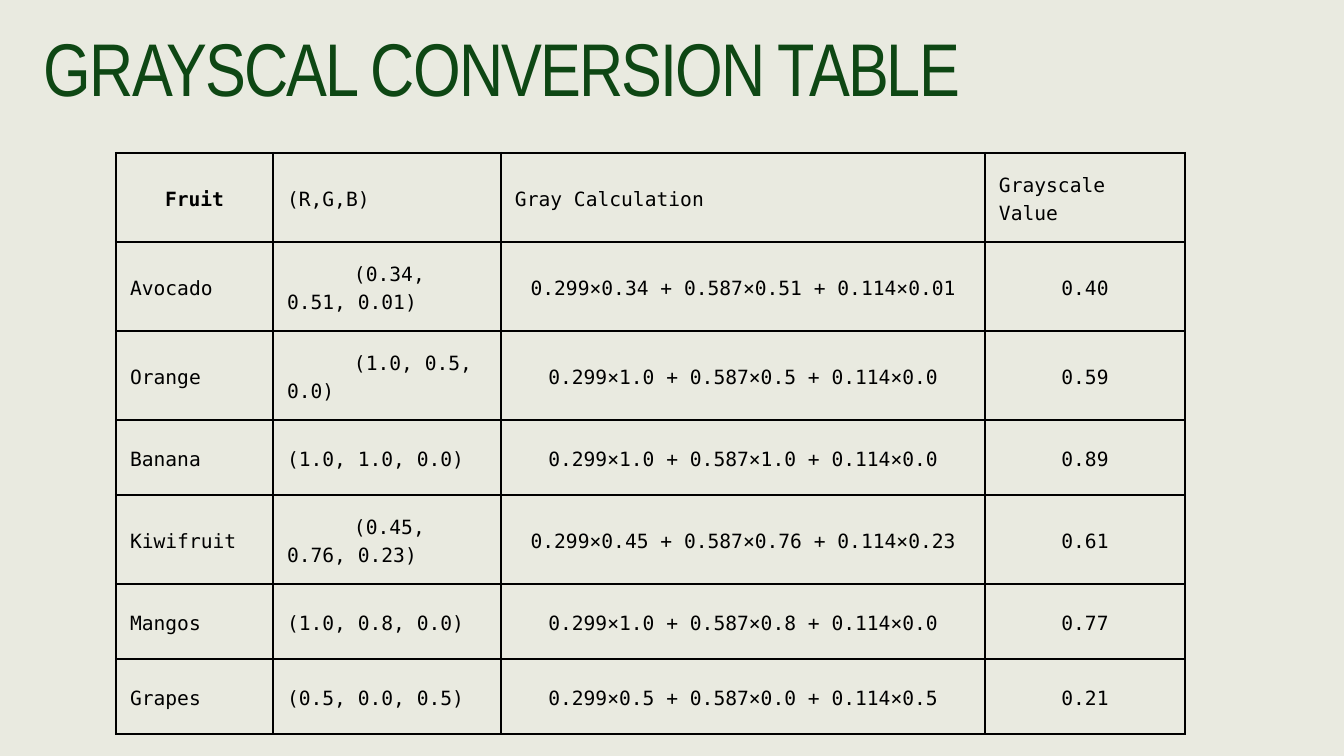
from dataclasses import dataclass

from lxml.etree import SubElement
from pptx import Presentation
from pptx.dml.color import RGBColor
from pptx.enum.text import MSO_ANCHOR, MSO_AUTO_SIZE, PP_ALIGN
from pptx.oxml.ns import qn
from pptx.slide import Slide
from pptx.util import Pt

EMU_PER_PX = 914400 / 67.2
WEIGHTS = ("0.299", "0.587", "0.114")
HEADINGS = ("Fruit", "(R,G,B)", "Gray Calculation", "Grayscale Value")
FRUITS = (
    ("Avocado", ("0.34", "0.51", "0.01")),
    ("Orange", ("1.0", "0.5", "0.0")),
    ("Banana", ("1.0", "1.0", "0.0")),
    ("Kiwifruit", ("0.45", "0.76", "0.23")),
    ("Mangos", ("1.0", "0.8", "0.0")),
    ("Grapes", ("0.5", "0.0", "0.5")),
)
INDENTED_FRUITS = ("Avocado", "Orange", "Kiwifruit")
COLUMN_WIDTHS = (157, 228, 484, 200)
TALL_ROW, SHORT_ROW = 89, 75


def px(length):
    return round(length * EMU_PER_PX)


def color(hex_code):
    return RGBColor.from_string(hex_code)


def conversion_row(fruit, channels):
    """Return the fruit, its colour, the weighted sum and the sum's value."""
    terms = list(zip(WEIGHTS, channels))
    calculation = " + ".join(f"{weight}×{channel}" for weight, channel in terms)
    gray = sum(float(weight) * float(channel) for weight, channel in terms)
    return fruit, f"({', '.join(channels)})", calculation, f"{gray:.2f}"


@dataclass
class SlideBuilder:
    slide: Slide
    background: str = "E9EAE0"
    title_color: str = "0E4714"
    ink: str = "000000"
    title_font: str = "Arial Narrow"
    table_font: str = "DejaVu Sans Mono"
    cell_margin: int = 14
    first_line_indent: int = 67

    def paint_background(self):
        fill = self.slide.background.fill
        fill.solid()
        fill.fore_color.rgb = color(self.background)

    def style_paragraph(self, paragraph, font_name, size, hex_code, spacing,
                        align=PP_ALIGN.LEFT, bold=False):
        paragraph.alignment = align
        paragraph.line_spacing = Pt(spacing)
        for run in paragraph.runs:
            run.font.name = font_name
            run.font.size = Pt(size)
            run.font.bold = bold
            run.font.color.rgb = color(hex_code)

    def add_title(self, text, left, top, width, height):
        title = self.slide.shapes.title
        title.left, title.top = px(left), px(top)
        title.width, title.height = px(width), px(height)
        frame = title.text_frame
        frame.text = text
        frame.word_wrap = True
        frame.auto_size = MSO_AUTO_SIZE.SHAPE_TO_FIT_TEXT
        frame.vertical_anchor = MSO_ANCHOR.TOP
        frame.margin_left = frame.margin_right = 0
        frame.margin_top = frame.margin_bottom = 0
        heading = frame.paragraphs[0]
        self.style_paragraph(heading, self.title_font, 80, self.title_color, 69.6)
        heading.runs[0].font._element.set("spc", "-200")

    def add_table(self, rows, left, top, widths, heights):
        table = self.slide.shapes.add_table(
            len(rows), len(widths), px(left), px(top),
            px(sum(widths)), px(sum(heights))).table
        table.first_row = table.horz_banding = False
        for column, width in zip(table.columns, widths):
            column.width = px(width)
        for row, height in zip(table.rows, heights):
            row.height = px(height)
        for row_index, texts in enumerate(rows):
            for column_index, text in enumerate(texts):
                is_corner = row_index == column_index == 0
                is_calculated = row_index > 0 and column_index > 1
                cell = table.cell(row_index, column_index)
                self.fill_cell(cell, text, is_corner or is_calculated, is_corner)
        return table

    def fill_cell(self, cell, text, centered, bold):
        cell.text_frame.text = text
        cell.vertical_anchor = MSO_ANCHOR.MIDDLE
        cell.margin_left = cell.margin_right = px(self.cell_margin)
        cell.margin_top = cell.margin_bottom = px(self.cell_margin)
        align = PP_ALIGN.CENTER if centered else PP_ALIGN.LEFT
        self.style_paragraph(cell.text_frame.paragraphs[0], self.table_font,
                             21, self.ink, 29.4, align, bold)
        self.add_borders(cell)
        cell.fill.background()

    def add_borders(self, cell):
        properties = cell._tc.get_or_add_tcPr()
        for side in ("a:lnL", "a:lnR", "a:lnT", "a:lnB"):
            line = SubElement(properties, qn(side), w=str(Pt(3)))
            SubElement(SubElement(line, qn("a:solidFill")),
                       qn("a:srgbClr"), val=self.ink)

    def indent_first_line(self, cell):
        paragraph_properties = cell.text_frame.paragraphs[0]._p.get_or_add_pPr()
        paragraph_properties.set("marL", "0")
        paragraph_properties.set("indent", str(px(self.first_line_indent)))


def main():
    presentation = Presentation()
    presentation.slide_width, presentation.slide_height = px(1344), px(756)
    title_only = presentation.slide_layouts[5]
    builder = SlideBuilder(presentation.slides.add_slide(title_only))

    builder.paint_background()
    builder.add_title("GRAYSCAL CONVERSION TABLE", 44, 46, 1161, 82)

    rows = [HEADINGS] + [conversion_row(*fruit) for fruit in FRUITS]
    heights = [TALL_ROW] + [TALL_ROW if name in INDENTED_FRUITS else SHORT_ROW
                            for name, _ in FRUITS]
    conversions = builder.add_table(rows, 116, 153, COLUMN_WIDTHS, heights)
    for row_index, (name, _) in enumerate(FRUITS, start=1):
        if name in INDENTED_FRUITS:
            builder.indent_first_line(conversions.cell(row_index, 1))

    presentation.save("out.pptx")


if __name__ == "__main__":
    main()
